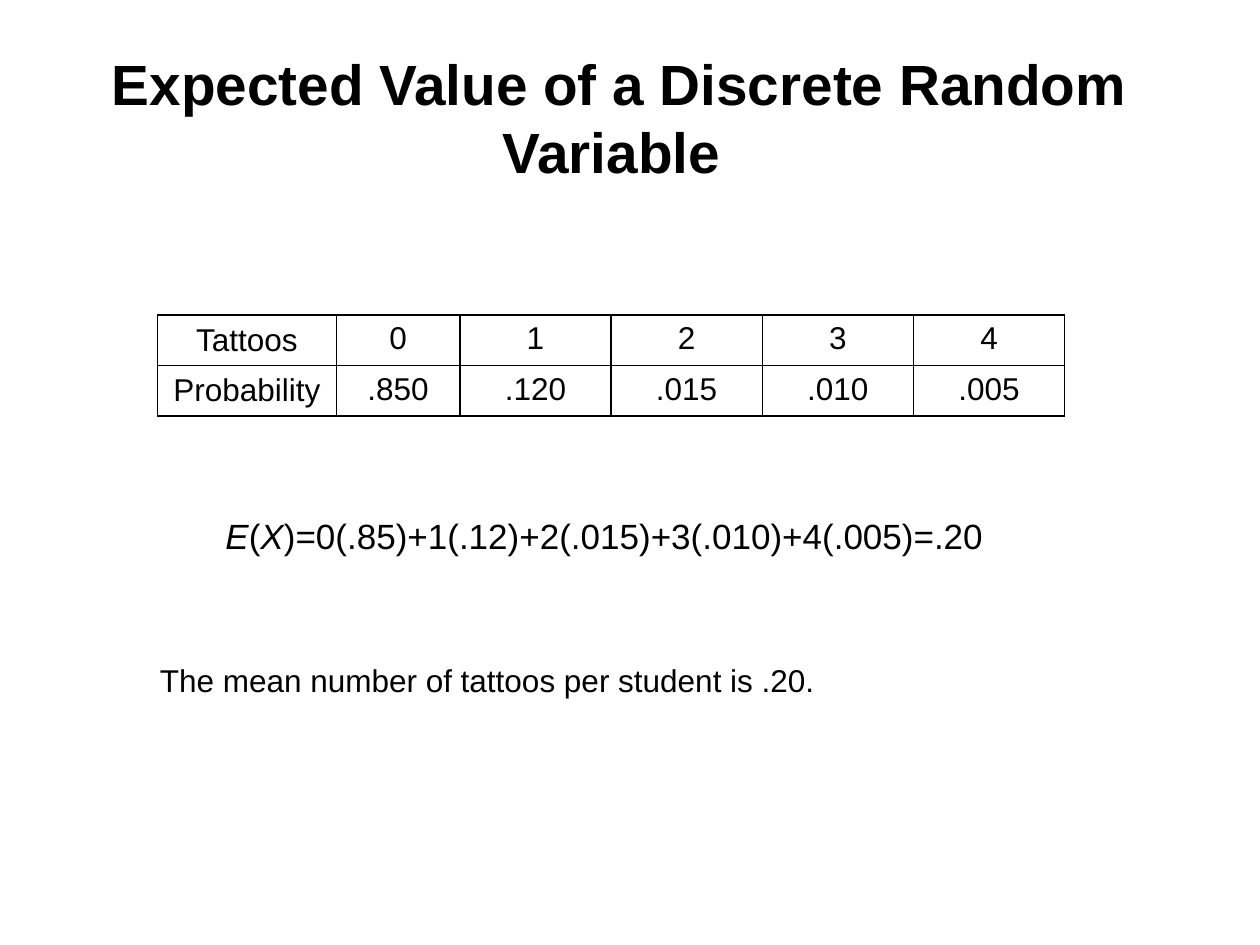
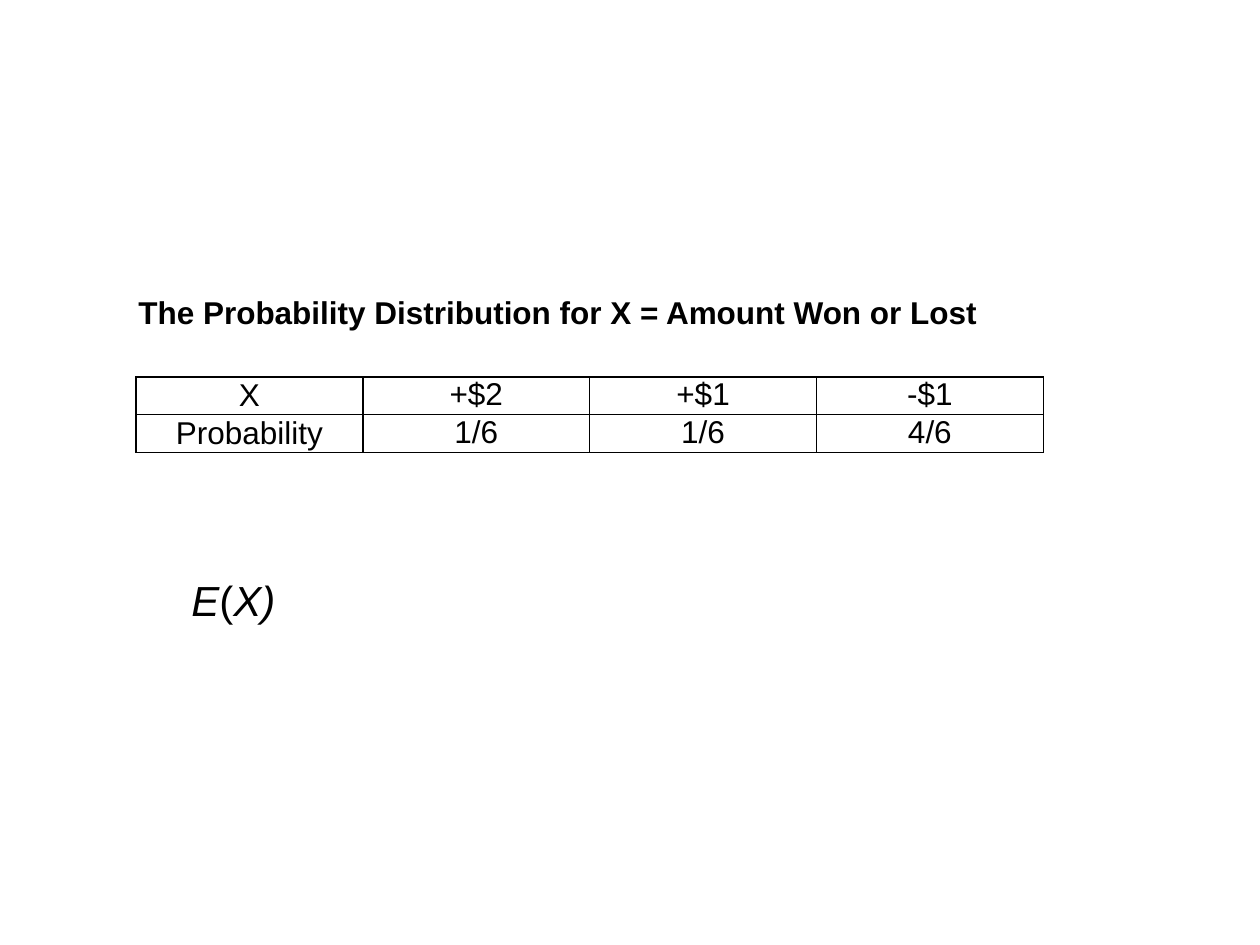
from dataclasses import dataclass

from lxml.etree import SubElement
from pptx import Presentation
from pptx.dml.color import RGBColor
from pptx.enum.text import MSO_ANCHOR as Anchor, MSO_AUTO_SIZE as AutoSize, PP_ALIGN as Align
from pptx.oxml.ns import qn
from pptx.slide import Slide
from pptx.table import _Cell as Cell
from pptx.text.text import TextFrame
from pptx.util import Inches, Pt

SLIDE_WIDTH, SLIDE_HEIGHT = Inches(10), Inches(7.5)
COLUMN, ROW = SLIDE_WIDTH / 100, SLIDE_HEIGHT / 75  # page grid
COLORS = {"text": "000000", "border": "000000", "background": "FFFFFF"}
FONT = "Arial"
BORDER_WIDTH = Pt(1)
CELL_MARGINS = {"margin_left": 1, "margin_right": 1, "margin_top": 0.5, "margin_bottom": 0.5}


@dataclass(frozen=True)
class Run:
    text: str
    italic: bool = False


@dataclass(frozen=True)
class TextBlock:
    """Text placed on the page grid."""
    left: float
    top: float
    width: float
    height: float
    runs: tuple[Run, ...]
    size: float = 18
    bold: bool = False
    align: Align = Align.LEFT
    anchor: Anchor = Anchor.TOP
    wrap: bool = True
    fit: AutoSize = AutoSize.SHAPE_TO_FIT_TEXT


@dataclass(frozen=True)
class DistributionTable:
    """Values over probabilities; the first column holds the row labels."""
    left: float
    top: float
    widths: tuple[float, ...]
    row_height: float
    rows: tuple[tuple[str, ...], ...]
    margin_scale: float = 1


def apply_format(target: object, values: dict) -> None:
    for name, value in values.items():
        setattr(target, name, value)


def write_runs(frame: TextFrame, runs: tuple[Run, ...], align: Align,
               size: float = 18, bold: bool = False) -> None:
    paragraph = frame.paragraphs[0]
    paragraph.alignment = align
    for part in runs:
        run = paragraph.add_run()
        run.text = part.text
        apply_format(run.font, {"name": FONT, "size": Pt(size), "bold": bold, "italic": part.italic})
        run.font.color.rgb = RGBColor.from_string(COLORS["text"])


def add_text(slide: Slide, block: TextBlock) -> None:
    shape = slide.shapes.add_textbox(round(block.left * COLUMN), round(block.top * ROW),
                                     round(block.width * COLUMN), round(block.height * ROW))
    apply_format(shape.text_frame, {"word_wrap": block.wrap, "auto_size": block.fit,
                                    "vertical_anchor": block.anchor})
    write_runs(shape.text_frame, block.runs, block.align, block.size, block.bold)


def draw_borders(cell: Cell) -> None:
    properties = cell._tc.get_or_add_tcPr()
    for index, side in enumerate(("lnL", "lnR", "lnT", "lnB")):
        line = SubElement(properties, qn(f"a:{side}"), w=str(BORDER_WIDTH))
        fill = SubElement(line, qn("a:solidFill"))
        SubElement(fill, qn("a:srgbClr"), val=COLORS["border"])
        properties.remove(line)
        properties.insert(index, line)  # borders come before the fill


def add_distribution(slide: Slide, spec_table: DistributionTable) -> None:
    widths = [round(width * COLUMN) for width in spec_table.widths]
    row_height = round(spec_table.row_height * ROW)
    table = slide.shapes.add_table(
        len(spec_table.rows), len(widths), round(spec_table.left * COLUMN),
        round(spec_table.top * ROW), sum(widths), row_height * len(spec_table.rows)).table
    apply_format(table, {"first_row": False, "horz_banding": False})
    for column, width in zip(table.columns, widths):
        column.width = width
    margins = {name: round(share * spec_table.margin_scale * COLUMN)
               for name, share in CELL_MARGINS.items()}
    for row, texts in zip(table.rows, spec_table.rows):
        row.height = row_height
        for index, (cell, text) in enumerate(zip(row.cells, texts)):
            anchor = Anchor.TOP if index else Anchor.MIDDLE
            apply_format(cell, margins | {"vertical_anchor": anchor})
            cell.fill.background()
            draw_borders(cell)
            write_runs(cell.text_frame, (Run(text),), Align.CENTER)


SLIDES = (
    (
        TextBlock(0, 3, 98.3, 12.5, (Run("Expected Value of a Discrete Random Variable "),),
                  size=32.4, bold=True, align=Align.CENTER, anchor=Anchor.MIDDLE, fit=AutoSize.NONE),
        TextBlock(16.9, 40.3, 63.2, 4.4,
                  (Run("E", True), Run("("), Run("X", True),
                   Run(")=0(.85)+1(.12)+2(.015)+3(.010)+4(.005)=.20 ")),
                  size=20, anchor=Anchor.MIDDLE, wrap=False),
        DistributionTable(12.5, 25, (14.2, 9.8) + (12,) * 4, 4,
                          (("Tattoos", "0", "1", "2", "3", "4"),
                           ("Probability", ".850", ".120", ".015", ".010", ".005"))),
        TextBlock(11.7, 52, 67.5, 4, (Run("The mean number of tattoos per student is .20."),)),
    ),
    (
        DistributionTable(10.8, 29.9, (18,) * 4, 2.8,
                          (("X", "+$2", "+$1", "-$1"), ("Probability", "1/6", "1/6", "4/6")),
                          margin_scale=0),
        TextBlock(10, 22.8, 72.5, 4,
                  (Run("The Probability Distribution for X = Amount Won or Lost"),), bold=True),
        TextBlock(14.2, 45.1, 8.8, 5, (Run("E", True), Run("("), Run("X)", True)),
                  size=24, anchor=Anchor.MIDDLE, wrap=False),
    ),
)
DRAW = {TextBlock: add_text, DistributionTable: add_distribution}


def main() -> None:
    presentation = Presentation()
    apply_format(presentation, {"slide_width": SLIDE_WIDTH, "slide_height": SLIDE_HEIGHT})
    for elements in SLIDES:
        slide = presentation.slides.add_slide(presentation.slide_layouts[6])
        slide.background.fill.solid()
        slide.background.fill.fore_color.rgb = RGBColor.from_string(COLORS["background"])
        for element in elements:
            DRAW[type(element)](slide, element)
    presentation.save("out.pptx")


if __name__ == "__main__":
    main()
